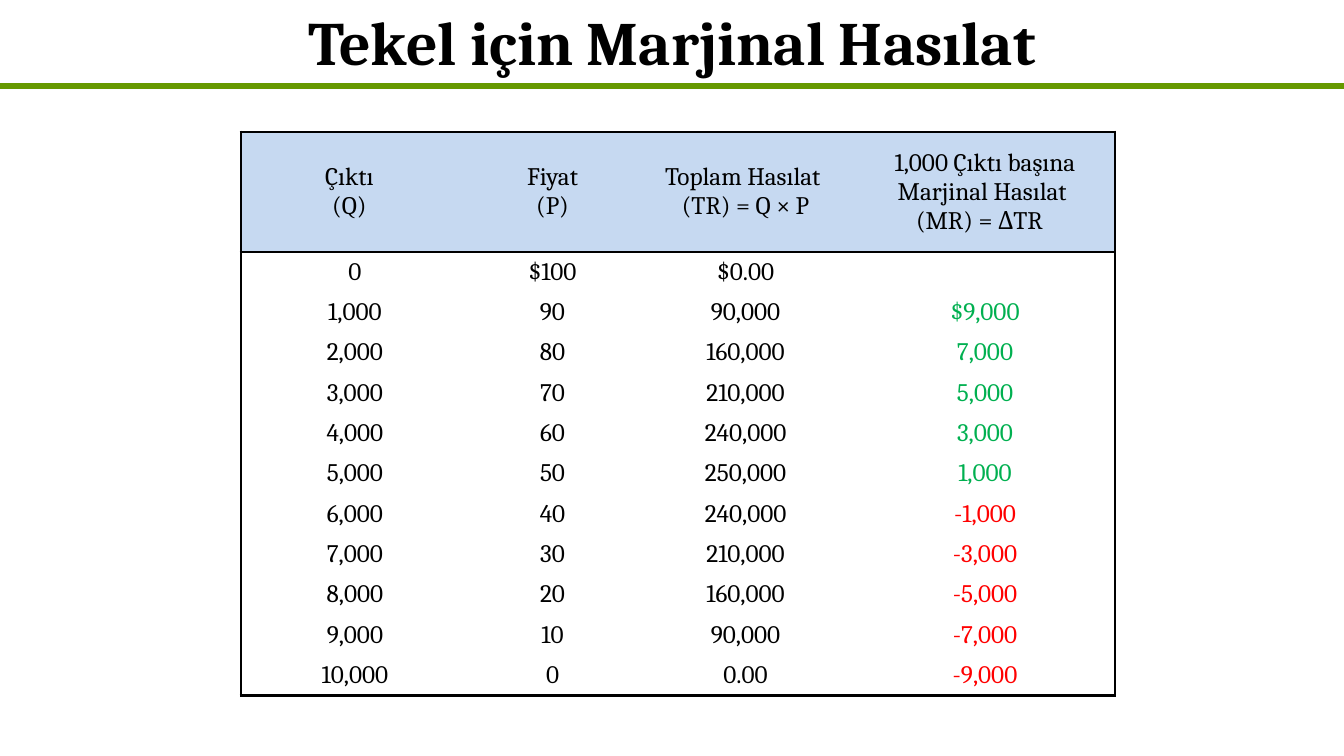
from dataclasses import dataclass

from lxml.etree import SubElement
from pptx import Presentation
from pptx.dml.color import RGBColor
from pptx.enum.shapes import MSO_CONNECTOR
from pptx.enum.text import MSO_ANCHOR, PP_ALIGN
from pptx.oxml.ns import qn
from pptx.util import Inches, Pt


@dataclass(frozen=True)
class Theme:
    """Colours, font and sizes of the slide."""
    font: str = "Cambria"
    ink: str = "000000"
    rule: str = "669900"
    header: str = "C6D9F1"
    gain: str = "00B050"
    loss: str = "FF0000"
    title_size: float = 44
    table_size: float = 18
    rule_width: float = 4.5
    border_width: float = 2.25


THEME = Theme()
SLIDE_WIDTH, SLIDE_HEIGHT = 13.33, 7.5
COLUMN_WIDTHS = [2.26, 1.66, 2.17, 2.58]
HEADER_HEIGHT, ROW_HEIGHT = 1.19, 0.4
LINE_SHIFT = 0.11
HEADINGS = [
    [("Çıktı", LINE_SHIFT), ("(Q)", 0)],
    [("Fiyat", 0), ("(P)", 0)],
    [("Toplam Hasılat ", 0), ("(TR) = Q × P", 0)],
    [("1,000 Çıktı başına Marjinal Hasılat ", 0), ("(MR) = ΔTR", LINE_SHIFT)],
]


def add_run(paragraph, text, size, color, bold=False):
    """Add one centred run in the theme font."""
    paragraph.alignment = PP_ALIGN.CENTER
    run = paragraph.add_run()
    run.text = text
    run.font.name = THEME.font
    run.font.size = Pt(size)
    run.font.bold = bold
    run.font.color.rgb = RGBColor.from_string(color)


def demand_rows():
    """Return the output, price, revenue and marginal revenue of each row."""
    rows = []
    previous = 0
    for step in range(11):
        output, price = step * 1000, 100 - step * 10
        revenue = output * price
        marginal = (revenue - previous) // 1000 * 1000
        rows.append((output, price, revenue, marginal))
        previous = revenue
    return [format_row(step, *row) for step, row in enumerate(rows)]


def format_row(step, output, price, revenue, marginal):
    """Turn one row of figures into text and colour pairs."""
    price_sign = "$" if step == 0 else ""
    marginal_sign = "$" if step == 1 else ""
    revenue_text = f"{revenue:,}" if revenue else f"{price_sign}0.00"
    marginal_text = f"{marginal_sign}{marginal // 10:,}" if step else ""
    return [
        (f"{output:,}", THEME.ink),
        (f"{price_sign}{price}", THEME.ink),
        (revenue_text, THEME.ink),
        (marginal_text, THEME.gain if marginal > 0 else THEME.loss),
    ]


def set_borders(cell, drawn_sides):
    """Draw the given sides of a cell and clear the others."""
    properties = cell._tc.get_or_add_tcPr()
    for side in "LRTB":
        border = SubElement(properties, qn(f"a:ln{side}"))
        if side in drawn_sides:
            border.set("w", str(Pt(THEME.border_width)))
            fill = SubElement(border, qn("a:solidFill"))
            SubElement(fill, qn("a:srgbClr")).set("val", THEME.ink)
        else:
            SubElement(border, qn("a:noFill"))


def style_cell(cell, row, column, last_row, last_column):
    """Set margins, borders and fill from the place of the cell."""
    cell.margin_left = cell.margin_right = Inches(0.06)
    cell.margin_top = cell.margin_bottom = 0
    cell.vertical_anchor = MSO_ANCHOR.MIDDLE
    sides = {
        "L": column == 0,
        "R": column == last_column,
        "T": row in (0, 1),
        "B": row in (0, last_row),
    }
    set_borders(cell, [side for side, drawn in sides.items() if drawn])
    if row == 0:
        cell.fill.solid()
        cell.fill.fore_color.rgb = RGBColor.from_string(THEME.header)
    else:
        cell.fill.background()


def fill_heading(cell, lines):
    """Write a heading, one paragraph a line, with its right indent."""
    frame = cell.text_frame
    for index, (text, indent) in enumerate(lines):
        paragraph = frame.add_paragraph() if index else frame.paragraphs[0]
        if indent:
            paragraph._p.get_or_add_pPr().set("marR", str(Inches(indent)))
        add_run(paragraph, text, THEME.table_size, THEME.ink)


def add_title(slide, left, top, width, height):
    """Place the slide title in its box."""
    title = slide.shapes.add_textbox(
        Inches(left), Inches(top), Inches(width), Inches(height))
    frame = title.text_frame
    frame.word_wrap = True
    frame.vertical_anchor = MSO_ANCHOR.MIDDLE
    add_run(frame.paragraphs[0], "Tekel için Marjinal Hasılat",
            THEME.title_size, THEME.ink, bold=True)


def add_title_rule(slide, left, top, width):
    """Draw the green line below the title."""
    rule = slide.shapes.add_connector(
        MSO_CONNECTOR.STRAIGHT, Inches(left), Inches(top),
        Inches(left + width), Inches(top))
    rule.line.color.rgb = RGBColor.from_string(THEME.rule)
    rule.line.width = Pt(THEME.rule_width)
    SubElement(rule._element.spPr, qn("a:effectLst"))


def add_revenue_table(slide, left, top):
    """Place the revenue table at the given corner."""
    rows = demand_rows()
    height = HEADER_HEIGHT + ROW_HEIGHT * len(rows)
    table = slide.shapes.add_table(
        len(rows) + 1, len(COLUMN_WIDTHS), Inches(left), Inches(top),
        Inches(sum(COLUMN_WIDTHS)), Inches(height)).table
    table.first_row = table.horz_banding = False
    for column, width in zip(table.columns, COLUMN_WIDTHS):
        column.width = Inches(width)
    for index, row in enumerate(table.rows):
        row.height = Inches(ROW_HEIGHT if index else HEADER_HEIGHT)
        for column, cell in enumerate(row.cells):
            style_cell(cell, index, column, len(rows), len(COLUMN_WIDTHS) - 1)
            if index == 0:
                fill_heading(cell, HEADINGS[column])
                continue
            text, color = rows[index - 1][column]
            if text:
                add_run(cell.text_frame.paragraphs[0], text,
                        THEME.table_size, color)


def main():
    """Build the slide and save it."""
    presentation = Presentation()
    presentation.slide_width = Inches(SLIDE_WIDTH)
    presentation.slide_height = Inches(SLIDE_HEIGHT)
    slide = presentation.slides.add_slide(presentation.slide_layouts[6])
    add_title_rule(slide, 0, 0.85, SLIDE_WIDTH)
    add_title(slide, 2.17, 0, 9, 0.82)
    add_revenue_table(slide, 2.39, 1.31)
    presentation.save("out.pptx")


if __name__ == "__main__":
    main()
